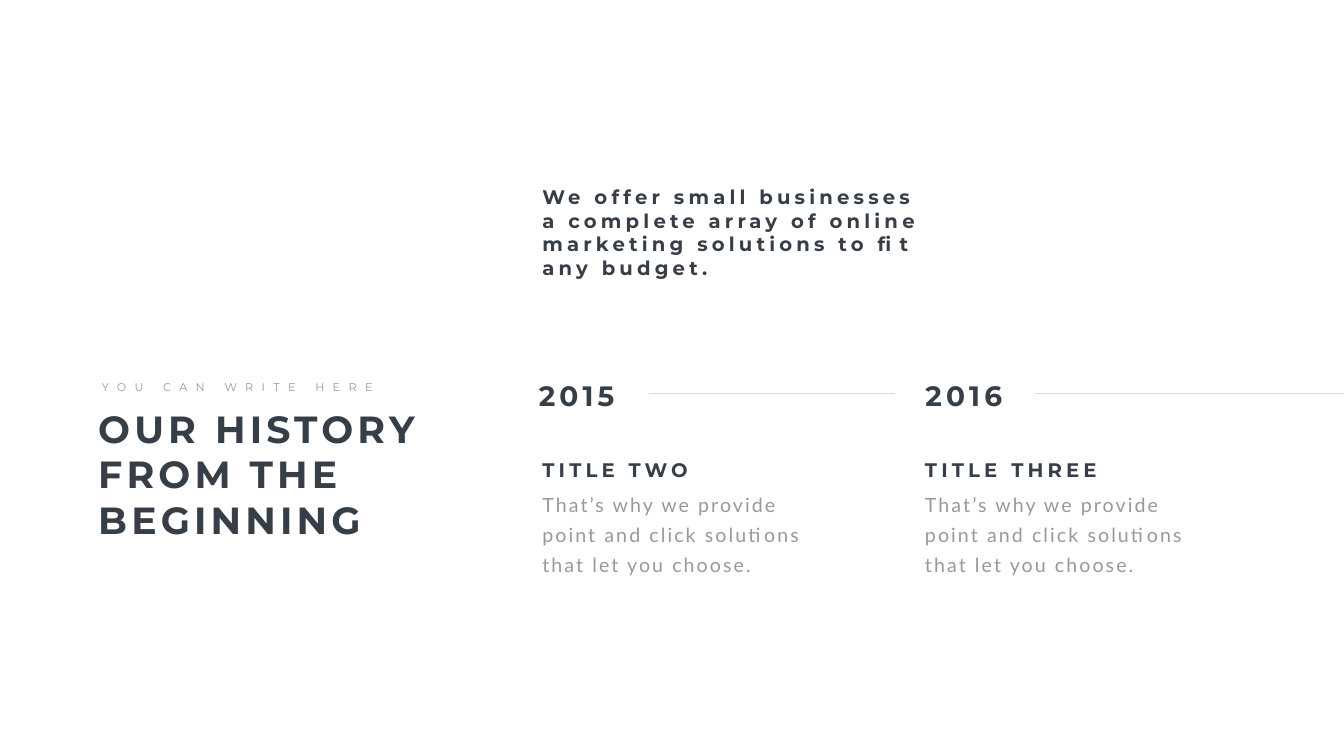
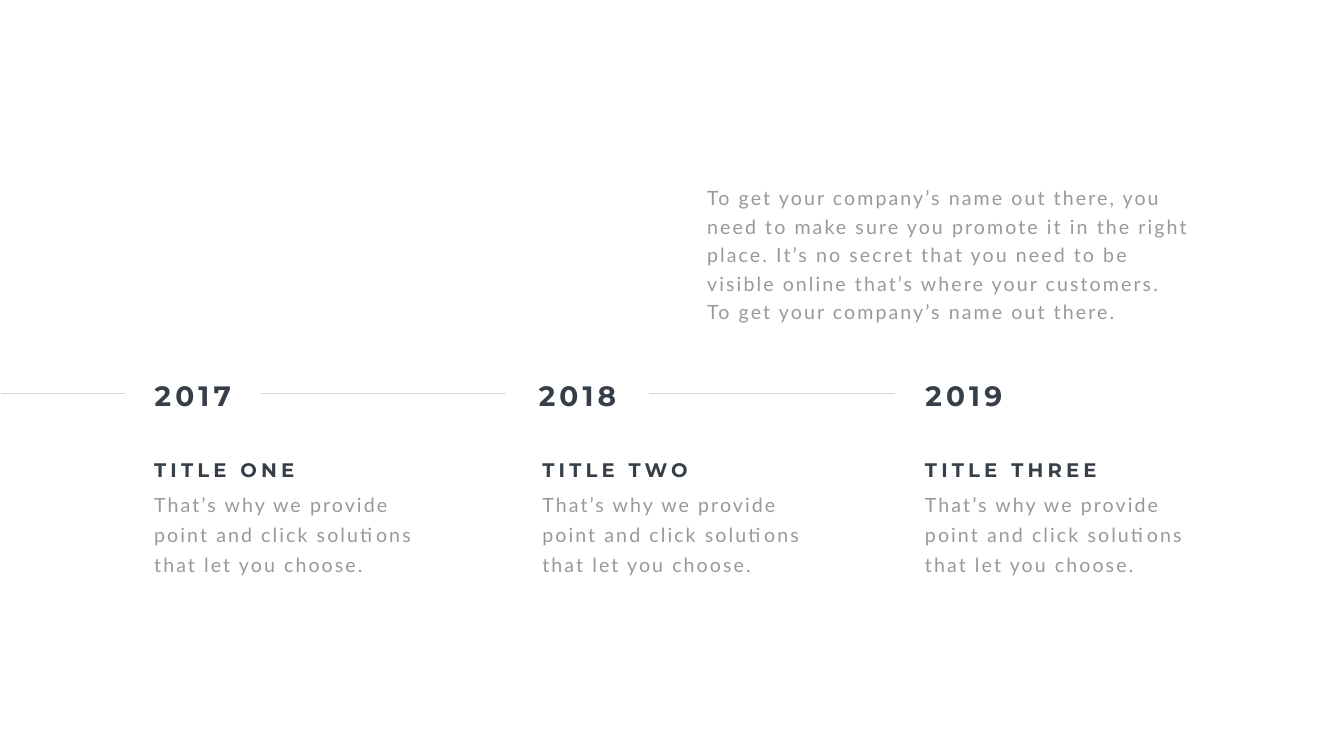
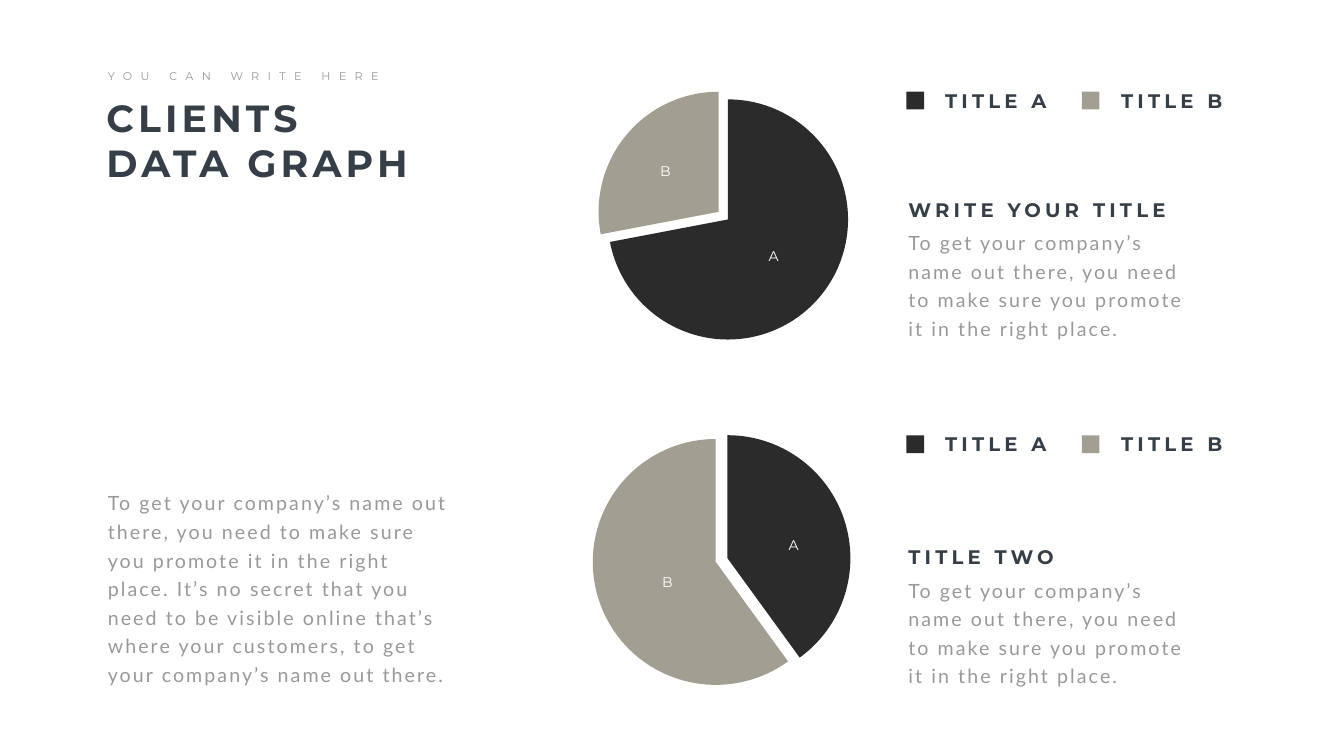
from dataclasses import dataclass

from lxml import etree
from pptx import Presentation
from pptx import util as u
from pptx.chart.data import CategoryChartData
from pptx.dml.color import RGBColor
from pptx.enum import chart, shapes, text
from pptx.oxml import ns
from pptx.slide import Slide

SLATE = RGBColor(0x36, 0x3E, 0x48)
GREY = RGBColor(0x99, 0x99, 0x99)
RULE = RGBColor(0xD9, 0xD9, 0xD9)
COAL = RGBColor(0x2B, 0x2B, 0x2B)
STONE = RGBColor(0xA2, 0x9F, 0x92)
WHITE = RGBColor(0xFF, 0xFF, 0xFF)

MONT = "Montserrat"
LATO = "Lato"


@dataclass(frozen=True)
class Style:
    face: str
    size: int
    tone: RGBColor
    track: int
    bold: bool = False
    lead: float | None = None
    wrap: bool = True
    align: text.PP_ALIGN | None = None


HEAD = Style(MONT, 54, SLATE, 6, bold=True)
YEAR = Style(MONT, 40, SLATE, 6, bold=True)
TITLE = Style(MONT, 28, SLATE, 6, bold=True)
KICKER = Style(MONT, 16, GREY, 12, wrap=False)
BODY = Style(LATO, 28, GREY, 3, lead=40.8)
STEP = Style(LATO, 28, GREY, 3, lead=43)
MARK = Style(MONT, 20, WHITE, 12, wrap=False, align=text.PP_ALIGN.CENTER)


@dataclass(frozen=True)
class Box:
    left: float
    top: float
    width: float
    height: float

    def frame(self) -> tuple[u.Length, ...]:
        return tuple(u.Inches(n) for n in (self.left, self.top, self.width, self.height))


@dataclass(frozen=True)
class Stop:
    left: float
    year_left: float
    title: str


@dataclass(frozen=True)
class Panel:
    pie: Box
    shares: tuple[int, int]
    marks: tuple[Box, Box]
    key_top: float
    title: str
    width: float
    top: float


STOPS = (
    Stop(2.96, 2.97, "TITLE ONE"),
    Stop(10.66, 10.59, "TITLE TWO"),
    Stop(18.25, 18.26, "TITLE THREE"),
)
PANELS = (
    Panel(Box(10.64, 1.82, 7.6, 5.07), (72, 28),
          (Box(15.06, 4.86, 0.57, 0.44), Box(12.91, 3.17, 0.58, 0.44)),
          1.71, "WRITE YOUR TITLE", 5.73, 3.87),
    Panel(Box(10.54, 8.48, 7.78, 5.19), (40, 60),
          (Box(15.46, 10.6, 0.57, 0.44), Box(12.95, 11.33, 0.58, 0.44)),
          8.53, "TITLE TWO", 5.08, 10.76),
)
KEYS = ((17.98, 18.65, "A", COAL), (21.46, 22.14, "B", STONE))

STEP_TEXT = "That’s why we provide point and click solutions that let you choose."
OFFER = ("We offer small businesses a complete array of online marketing "
         "solutions to fit any budget.")
PLACE = "To get your company’s name out there, you need to make sure you promote it in the right place."
SECRET = PLACE + " It’s no secret that you need to be visible online that’s where your customers"
NAME_OUT = "o get your company’s name out there."


def write(slide: Slide, box: Box, words: str, style: Style) -> None:
    frame = slide.shapes.add_textbox(*box.frame()).text_frame
    frame.word_wrap = style.wrap
    frame.auto_size = text.MSO_AUTO_SIZE.SHAPE_TO_FIT_TEXT
    para = frame.paragraphs[0]
    para.alignment = style.align
    if style.lead:
        para.line_spacing = u.Pt(style.lead)
    run = para.add_run()
    run.text = words
    run.font.name = style.face
    run.font.size = u.Pt(style.size)
    run.font.bold = style.bold
    run.font.color.rgb = style.tone
    run._r.get_or_add_rPr().set("spc", str(style.track * 100))


def draw_head(slide: Slide, box: Box, words: str, left: float) -> None:
    write(slide, box, words, HEAD)
    write(slide, Box(left, box.top - 0.5, 5.78, 0.37), "YOU CAN WRITE HERE", KICKER)


def draw_stop(slide: Slide, stop: Stop, year: int) -> None:
    write(slide, Box(stop.year_left, 7.46, 3.26, 0.77), str(year), YEAR)
    write(slide, Box(stop.left, 9.03, 4.41, 0.57), stop.title, TITLE)
    write(slide, Box(stop.left, 9.6, 5.45, 1.85), STEP_TEXT, STEP)


def draw_rule(slide: Slide, start: float, end: float) -> None:
    high = u.Inches(7.81)
    rule = slide.shapes.add_connector(
        shapes.MSO_CONNECTOR.STRAIGHT, u.Inches(start), high, u.Inches(end), high)
    rule.line.color.rgb = RULE
    rule.line.width = u.Pt(0.5)
    etree.SubElement(rule._element.spPr, ns.qn("a:effectLst"))


def draw_pie(slide: Slide, box: Box, shares: tuple[int, int]) -> None:
    data = CategoryChartData()
    data.categories = ("1", "2")
    data.add_series("Series 1", shares)
    pie = slide.shapes.add_chart(chart.XL_CHART_TYPE.PIE, *box.frame(), data).chart
    pie.has_title = False
    pie.has_legend = False
    pie.font.name = "Calibri"
    pie.font.size = u.Pt(10)
    pie.font.color.rgb = GREY
    plot = pie.plots[0]
    plot.vary_by_categories = True
    for spot, tone in enumerate((COAL, STONE)):
        look = plot.series[0].points[spot].format
        look.fill.solid()
        look.fill.fore_color.rgb = tone
        look.line.fill.background()
    slice_b = plot.series[0]._element.findall(ns.qn("c:dPt"))[1]
    burst = etree.Element(ns.qn("c:explosion"), val="10")
    slice_b.find(ns.qn("c:spPr")).addprevious(burst)
    area = pie._chartSpace.chart.plotArea
    for old in area.findall(ns.qn("c:layout")):
        area.remove(old)
    layout = etree.Element(ns.qn("c:layout"))
    area.insert(0, layout)
    place = etree.SubElement(layout, ns.qn("c:manualLayout"))
    for tag, val in (("layoutTarget", "inner"), ("xMode", "edge"), ("yMode", "edge"),
                     ("x", "0.03"), ("y", "0.03"), ("w", "0.94"), ("h", "0.94")):
        etree.SubElement(place, ns.qn(f"c:{tag}"), val=val)


def draw_key(slide: Slide, top: float) -> None:
    for left, word_left, mark, tone in KEYS:
        chip = slide.shapes.add_shape(
            shapes.MSO_SHAPE.RECTANGLE, *Box(left, top + 0.11, 0.35, 0.35).frame())
        chip.shadow.inherit = False
        chip.fill.solid()
        chip.fill.fore_color.rgb = tone
        chip.line.fill.background()
        write(slide, Box(word_left, top, 2.48, 0.57), f"TITLE {mark}", TITLE)


def draw_panel(slide: Slide, panel: Panel) -> None:
    draw_pie(slide, panel.pie, panel.shares)
    for mark, box in zip("AB", panel.marks):
        write(slide, box, mark, MARK)
    draw_key(slide, panel.key_top)
    write(slide, Box(17.92, panel.top, panel.width, 0.57), panel.title, TITLE)
    write(slide, Box(17.92, panel.top + 0.57, 5.73, 2.34), PLACE, BODY)


def draw_past(slide: Slide) -> None:
    draw_head(slide, Box(1.85, 8, 6.67, 2.83), "OUR HISTORY FROM THE BEGINNING", 1.92)
    for year, stop in enumerate(STOPS[1:], 2015):
        draw_stop(slide, stop, year)
    for start, end in ((12.87, 17.75), (20.53, 26.66)):
        draw_rule(slide, start, end)
    write(slide, Box(10.66, 3.62, 8.02, 1.99), OFFER, TITLE)


def draw_recent(slide: Slide) -> None:
    for year, stop in enumerate(STOPS, 2017):
        draw_stop(slide, stop, year)
    for start, end in ((0.02, 2.48), (5.16, 10.04), (12.87, 17.75)):
        draw_rule(slide, start, end)
    write(slide, Box(13.93, 3.54, 9.77, 2.92), f"{SECRET}. T{NAME_OUT}", BODY)


def draw_clients(slide: Slide) -> None:
    draw_head(slide, Box(2.01, 1.83, 6.45, 1.92), "CLIENTS DATA GRAPH", 2.04)
    write(slide, Box(2.04, 9.6, 6.99, 4.07), f"{SECRET}, t{NAME_OUT}", BODY)
    for panel in PANELS:
        draw_panel(slide, panel)


def main() -> None:
    deck = Presentation()
    deck.slide_width = u.Inches(26.66)
    deck.slide_height = u.Inches(15)
    for draw in (draw_past, draw_recent, draw_clients):
        draw(deck.slides.add_slide(deck.slide_layouts[6]))
    deck.save("out.pptx")


if __name__ == "__main__":
    main()
